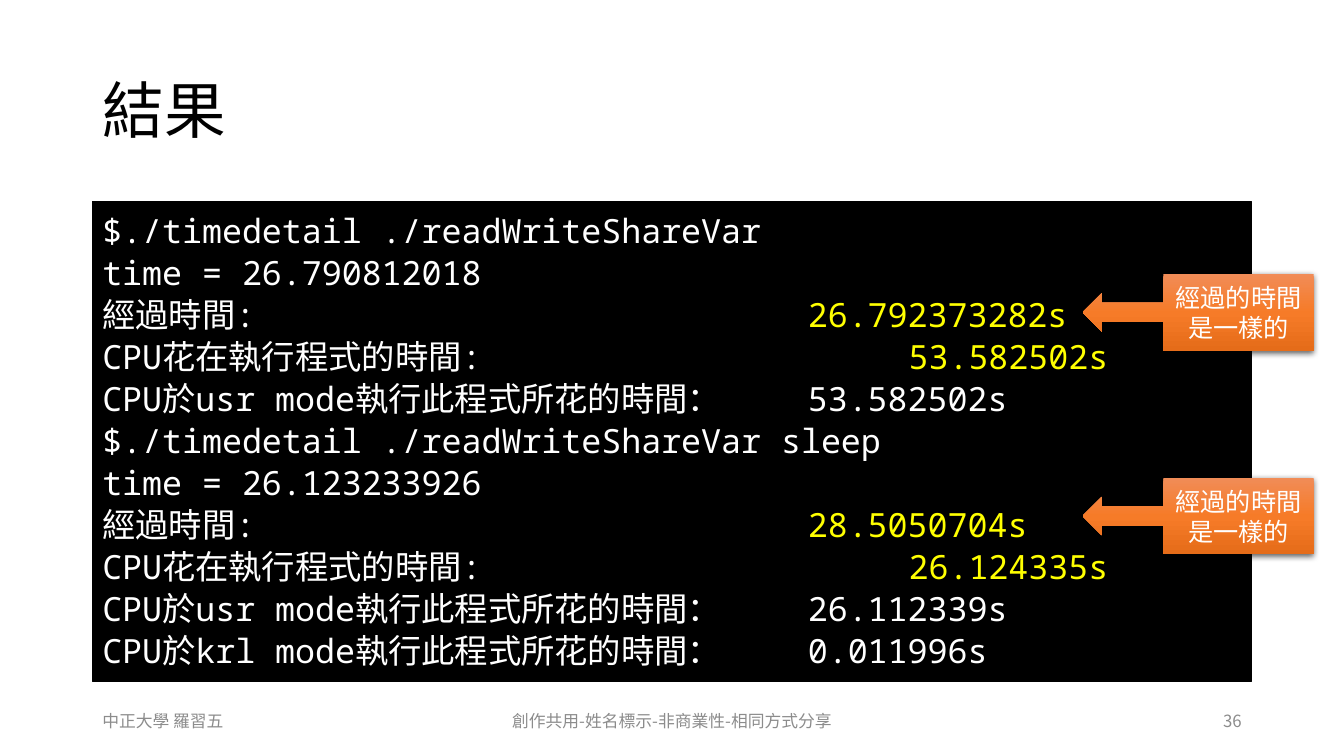
from dataclasses import dataclass

from lxml import etree
from pptx import Presentation
from pptx.dml.color import RGBColor
from pptx.enum import shapes, text
from pptx.oxml import ns
from pptx.util import Pt


@dataclass(frozen=True)
class Theme:
    sans: str = "Noto Sans CJK TC"
    mono: str = "Noto Sans Mono"
    label: str = "Arial"
    black: str = "000000"
    white: str = "FFFFFF"
    yellow: str = "FFFF00"
    grey: str = "8C8C8C"
    oranges: tuple = ((0, "F18C57"), (50, "F67B28"), (100, "E56C19"))
    title_size: float = 44
    code_size: float = 23.8
    label_size: float = 18
    footer_size: float = 12


THEME = Theme()
LEFT, WIDTH = 66, 828
CODE_PITCH = 30
NEAR_TAB, FAR_TAB = 504, 576

# Each line: label, value, tab stop of the value, value colour
TERMINAL_LINES = [
    ("$./timedetail ./readWriteShareVar",),
    ("time = 26.790812018",),
    ("經過時間: ", "26.792373282s", NEAR_TAB, THEME.yellow),
    ("CPU花在執行程式的時間: ", "53.582502s", FAR_TAB, THEME.yellow),
    ("CPU於usr mode執行此程式所花的時間： ", "53.582502s", NEAR_TAB, THEME.white),
    ("$./timedetail ./readWriteShareVar sleep",),
    ("time = 26.123233926",),
    ("經過時間: ", "28.5050704s", NEAR_TAB, THEME.yellow),
    ("CPU花在執行程式的時間: ", "26.124335s", FAR_TAB, THEME.yellow),
    ("CPU於usr mode執行此程式所花的時間： ", "26.112339s", NEAR_TAB, THEME.white),
    ("CPU於krl mode執行此程式所花的時間： ", "0.011996s", NEAR_TAB, THEME.white),
]


def add_child(parent, tag, **attributes):
    child = etree.SubElement(parent, ns.qn(tag))
    for key, value in attributes.items():
        child.set(key, str(value))
    return child


def style(paragraph, size, color, latin, asian, align=text.PP_ALIGN.LEFT):
    """Format a whole paragraph, with a typeface for each script."""
    paragraph.alignment = align
    font = paragraph.font
    font.size = Pt(size)
    font.color.rgb = RGBColor.from_string(color)
    font.name = latin
    add_child(font._rPr, "a:ea", typeface=asian)


def add_title(slide, left, top, width, height):
    title = slide.shapes.title
    title.left, title.top = Pt(left), Pt(top)
    title.width, title.height = Pt(width), Pt(height)
    title.text_frame.text = "結果"
    title.text_frame.vertical_anchor = text.MSO_ANCHOR.MIDDLE
    heading = title.text_frame.paragraphs[0]
    heading.line_spacing = 0.9
    style(heading, THEME.title_size, THEME.black, THEME.sans, THEME.sans)


def add_terminal_line(paragraph, label, value="", tab=0, color=THEME.white):
    paragraph.line_spacing = Pt(CODE_PITCH)
    if value:
        stops = add_child(paragraph._p.get_or_add_pPr(), "a:tabLst")
        add_child(stops, "a:tab", pos=Pt(tab), algn="l")
    style(paragraph, THEME.code_size, THEME.white, THEME.mono, THEME.sans)
    paragraph.add_run().text = label + ("\t" if value else "")
    if value:
        reading = paragraph.add_run()
        reading.text = value
        reading.font.color.rgb = RGBColor.from_string(color)


def add_terminal(slide, left, top, width, height):
    terminal = slide.shapes.add_shape(
        shapes.MSO_SHAPE.RECTANGLE, Pt(left), Pt(top), Pt(width), Pt(height))
    terminal.shadow.inherit = False
    terminal.fill.solid()
    terminal.fill.fore_color.rgb = RGBColor.from_string(THEME.black)
    terminal.line.color.rgb = RGBColor.from_string(THEME.black)
    terminal.line.width = Pt(1)
    frame = terminal.text_frame
    frame.word_wrap = True
    frame.vertical_anchor = text.MSO_ANCHOR.MIDDLE
    frame.margin_bottom = Pt(7)
    for index, line in enumerate(TERMINAL_LINES):
        paragraph = frame.add_paragraph() if index else frame.paragraphs[0]
        add_terminal_line(paragraph, *line)


def add_callout(slide, left, top, width, height):
    callout = slide.shapes.add_shape(
        shapes.MSO_SHAPE.LEFT_ARROW_CALLOUT, Pt(left), Pt(top), Pt(width), Pt(height))
    callout.line.fill.background()
    callout.fill.gradient()
    callout.fill.gradient_angle = 270
    properties = callout._element.spPr
    stops = properties.find(".//" + ns.qn("a:gsLst"))
    stops.clear()
    for percent, color in THEME.oranges:
        stop = add_child(stops, "a:gs", pos=percent * 1000)
        add_child(stop, "a:srgbClr", val=color)

    callout.shadow.inherit = False
    effects = properties.find(ns.qn("a:effectLst"))
    shadow = add_child(effects, "a:outerShdw", blurRad=Pt(4.5), dist=Pt(1.5),
                       dir=5400000, algn="ctr", rotWithShape=0)
    shade = add_child(shadow, "a:srgbClr", val=THEME.black)
    add_child(shade, "a:alpha", val=63000)

    frame = callout.text_frame
    frame.word_wrap = True
    frame.vertical_anchor = text.MSO_ANCHOR.MIDDLE
    remark = frame.paragraphs[0]
    remark.text = "經過的時間是一樣的"
    style(remark, THEME.label_size, THEME.white, THEME.label, THEME.label,
          text.PP_ALIGN.CENTER)


def add_footer(slide, left, top, width, height):
    """Author at the left, licence in the middle, page number at the right."""
    side = 216
    middle = 324
    parts = [
        ("中正大學 羅習五", left, side, text.PP_ALIGN.LEFT),
        ("創作共用-姓名標示-非商業性-相同方式分享", left + (width - middle) / 2, middle,
         text.PP_ALIGN.CENTER),
        ("36", left + width - side, side, text.PP_ALIGN.RIGHT),
    ]
    for wording, part_left, part_width, align in parts:
        part = slide.shapes.add_textbox(
            Pt(part_left), Pt(top), Pt(part_width), Pt(height))
        frame = part.text_frame
        frame.word_wrap = True
        frame.vertical_anchor = text.MSO_ANCHOR.MIDDLE
        frame.text = wording
        style(frame.paragraphs[0], THEME.footer_size, THEME.grey,
              THEME.sans, THEME.sans, align)


def main():
    deck = Presentation()
    deck.slide_width, deck.slide_height = Pt(960), Pt(540)
    slide = deck.slides.add_slide(deck.slide_layouts[5])
    add_title(slide, LEFT, 28.8, WIDTH, 104.4)
    add_terminal(slide, LEFT, 144, WIDTH, 342.7)
    for callout_top in (195.8, 341.3):
        add_callout(slide, 773.3, callout_top, 165, 54.7)
    add_footer(slide, LEFT, 500.4, WIDTH, 28.8)
    deck.save("out.pptx")


if __name__ == "__main__":
    main()
